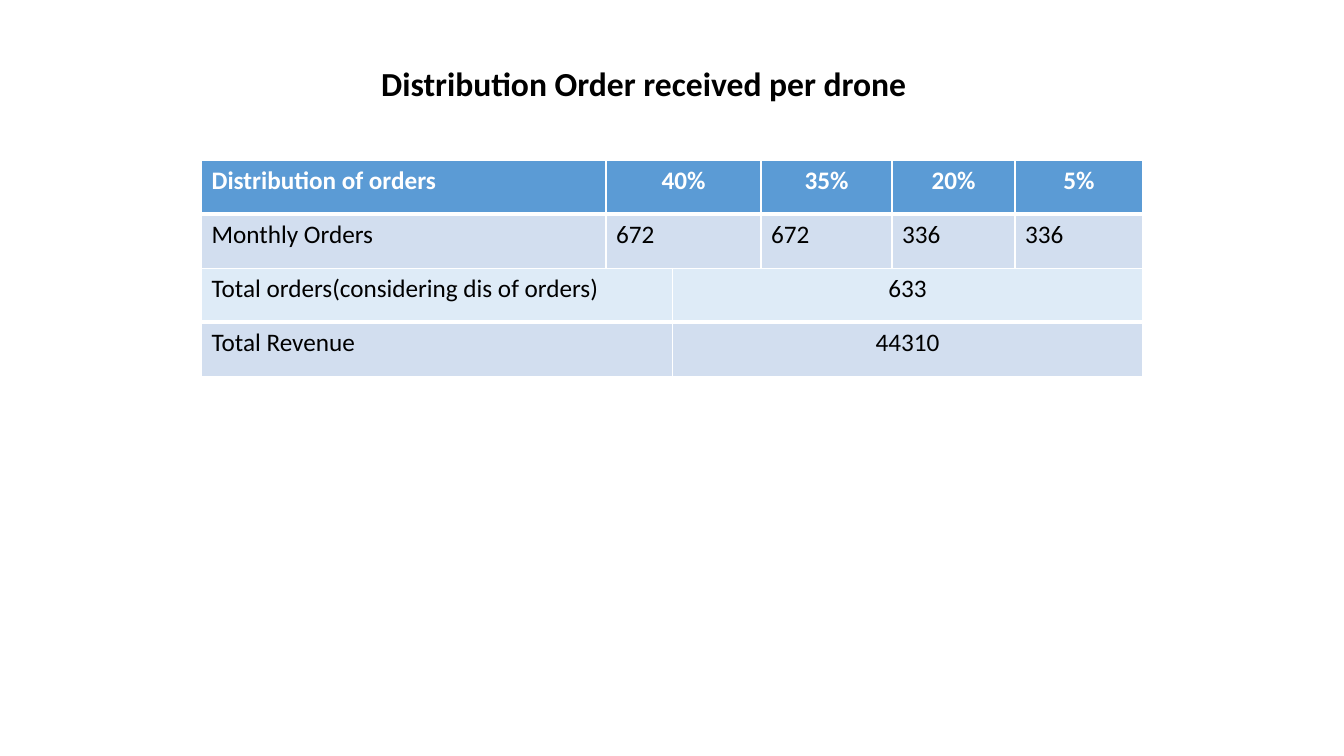
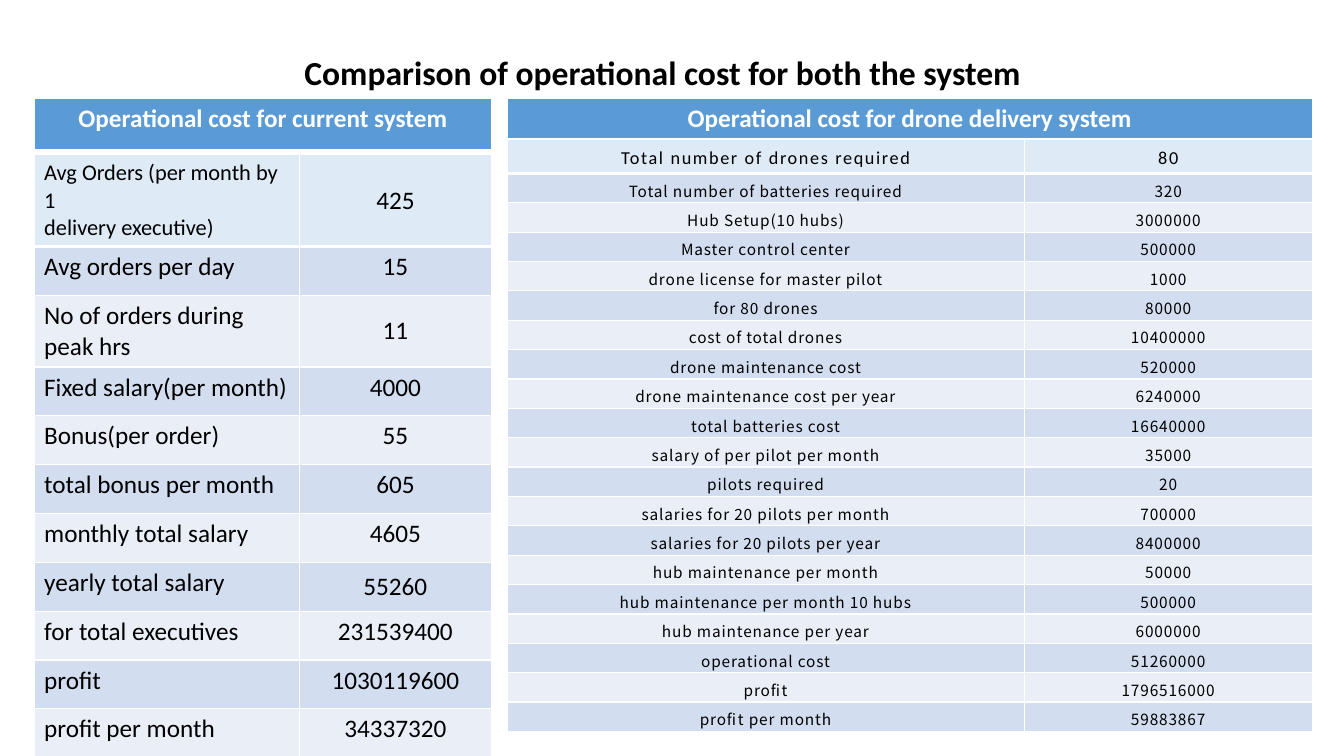
import pptx
import pptx.util
import pptx.dml.color
import pptx.enum.text
import lxml.etree
import pptx.oxml.ns

Cm = pptx.util.Cm
Pt = pptx.util.Pt
ALIGN = pptx.enum.text.PP_ALIGN
ANCHOR = pptx.enum.text.MSO_ANCHOR
qn = pptx.oxml.ns.qn

COLORS = {
    "header": "5B9BD5",
    "lead": "DEEBF7",
    "band": "D2DEEF",
    "alternate": "EAEFF7",
    "white": "FFFFFF",
    "black": "000000",
}
TITLE_FONT = {"name": "Calibri", "size": Pt(24), "bold": True}
HEADER_FONT = {"name": "Calibri", "size": Pt(18), "bold": True}
BODY_FONT = {"name": "Calibri", "size": Pt(18), "bold": False}
DRONE_LEAD_FONT = {"name": "Calibri", "size": Pt(13), "bold": False}
DRONE_FONT = {"name": "Noto Sans CJK SC", "size": Pt(11), "bold": False}
DRONE_CELL = {
    "vertical_anchor": ANCHOR.MIDDLE,
    "margin_left": Cm(0.08), "margin_right": Cm(0.08),
    "margin_top": Cm(0.03), "margin_bottom": Cm(0.03),
}


def apply_format(target, values, color=None):
    for attribute, value in values.items():
        setattr(target, attribute, value)
    if color:
        target.color.rgb = pptx.dml.color.RGBColor.from_string(COLORS[color])


def add_grid(slide, left, top, widths, heights, rows, lead, label_align=ALIGN.LEFT):
    grid = slide.shapes.add_table(
        len(rows), len(widths), Cm(left), Cm(top), Cm(sum(widths)), Cm(sum(heights))
    ).table
    apply_format(grid, {"first_row": False, "horz_banding": False})
    for column, width in zip(grid.columns, widths):
        column.width = Cm(width)
    for r, (height, texts) in enumerate(zip(heights, rows)):
        grid.rows[r].height = Cm(height)
        fill = lead if r == 0 else ("alternate", "band")[r % 2]
        is_header = fill == "header"
        for c, text in enumerate(texts):
            cell = grid.cell(r, c)
            cell.text = text
            for paragraph in cell.text_frame.paragraphs:
                paragraph.alignment = ALIGN.CENTER if c else label_align
                apply_format(paragraph.runs[0].font,
                             HEADER_FONT if is_header else BODY_FONT,
                             "white" if is_header else "black")
            properties = cell._tc.get_or_add_tcPr()
            thick = {0: "lnB", 1: "lnT"}.get(r)
            for side in ("lnL", "lnR", "lnT", "lnB"):
                border = lxml.etree.SubElement(properties, qn("a:" + side))
                border.set("w", str(Pt(3 if side == thick else 1)))
                solid = lxml.etree.SubElement(border, qn("a:solidFill"))
                lxml.etree.SubElement(solid, qn("a:srgbClr")).set("val", COLORS["white"])
            cell.fill.solid()
            cell.fill.fore_color.rgb = pptx.dml.color.RGBColor.from_string(COLORS[fill])
    return grid


deck = pptx.Presentation()
deck.slide_width = Cm(33.87)
deck.slide_height = Cm(19.05)

titles = [
    ("Distribution Order received per drone", (5.13, 1.47, 21.89, 1.5), ALIGN.LEFT, 4.22),
    ("Comparison of operational cost for both the system",
     (2.97, 1.19, 27.46, 1.3), ALIGN.CENTER, 0),
]
slides = []
for wording, (left, top, width, height), alignment, indent in titles:
    slide = deck.slides.add_slide(deck.slide_layouts[5])
    title = slide.shapes.title
    apply_format(title, {"left": Cm(left), "top": Cm(top),
                         "width": Cm(width), "height": Cm(height)})
    title.text = wording
    apply_format(title.text_frame, {
        "word_wrap": True, "vertical_anchor": ANCHOR.TOP,
        "auto_size": pptx.enum.text.MSO_AUTO_SIZE.NONE,
    })
    heading = title.text_frame.paragraphs[0]
    heading.alignment = alignment
    heading._p.get_or_add_pPr().set("marL", str(Cm(indent)))
    apply_format(heading.runs[0].font, TITLE_FONT, "black")
    slides.append(slide)
distribution, comparison = slides

orders = add_grid(
    distribution, 5.08, 4.04, [10.19, 3.91, 3.3, 3.1, 3.22], [1.36] * 2,
    [("Distribution of orders", "40%", "35%", "20%", "5%"),
     ("Monthly Orders", "672", "672", "336", "336")],
    "header")
for monthly in orders.rows[1].cells:
    monthly.text_frame.paragraphs[0].alignment = ALIGN.LEFT

add_grid(
    distribution, 5.08, 6.76, [11.86] * 2, [1.36] * 2,
    [("Total orders(considering dis of orders)", "633"), ("Total Revenue", "44310")],
    "lead")

for system, left, width, height in [("current", 0.86, 11.53, 1.32),
                                    ("drone delivery", 12.78, 20.29, 1.02)]:
    add_grid(comparison, left, 2.49, [width], [height],
             [(f"Operational cost for {system} system",)], "header", ALIGN.CENTER)

current_costs = [
    ("Avg Orders (per month by 1\ndelivery executive)", "425"),
    ("Avg orders per day", "15"),
    ("No of orders during peak hrs", "11"),
    ("Fixed salary(per month)", "4000"),
    ("Bonus(per order)", "55"),
    ("total bonus per month", "605"),
    ("monthly total salary", "4605"),
    ("yearly total salary", "55260"),
    ("for total executives", "231539400"),
    ("profit", "1030119600"),
    ("profit per month", "34337320"),
]
current = add_grid(comparison, 0.86, 3.89, [6.68, 4.85], [1.88] + [1.23] * 10,
                   current_costs, "lead")
for r in (0, 2, 7):
    current.cell(r, 1).vertical_anchor = ANCHOR.MIDDLE
for paragraph in current.cell(0, 0).text_frame.paragraphs:
    paragraph.runs[0].font.size = Pt(16)

drone_costs = [
    ("Total number of drones required", "80"),
    ("Total number of batteries required", "320"),
    ("Hub Setup(10 hubs)", "3000000"),
    ("Master control center", "500000"),
    ("drone license for master pilot", "1000"),
    ("for 80 drones", "80000"),
    ("cost of total drones", "10400000"),
    ("drone maintenance cost", "520000"),
    ("drone maintenance cost per year", "6240000"),
    ("total batteries cost", "16640000"),
    ("salary of per pilot per month", "35000"),
    ("pilots required", "20"),
    ("salaries for 20 pilots per month", "700000"),
    ("salaries for 20 pilots per year", "8400000"),
    ("hub maintenance per month", "50000"),
    ("hub maintenance per month 10 hubs", "500000"),
    ("hub maintenance per year", "6000000"),
    ("operational cost", "51260000"),
    ("profit", "1796516000"),
    ("profit per month", "59883867"),
]
drone = add_grid(comparison, 12.78, 3.51, [13.03, 7.26], [0.86] + [0.74] * 19,
                 drone_costs, "lead", ALIGN.CENTER)
for r, row in enumerate(drone.rows):
    for cell in row.cells:
        apply_format(cell, DRONE_CELL)
        paragraph = cell.text_frame.paragraphs[0]
        paragraph.line_spacing = 1.2
        font = paragraph.runs[0].font
        apply_format(font, DRONE_FONT if r else DRONE_LEAD_FONT)
        font._element.set("spc", "60" if r else "120")

deck.save("out.pptx")
